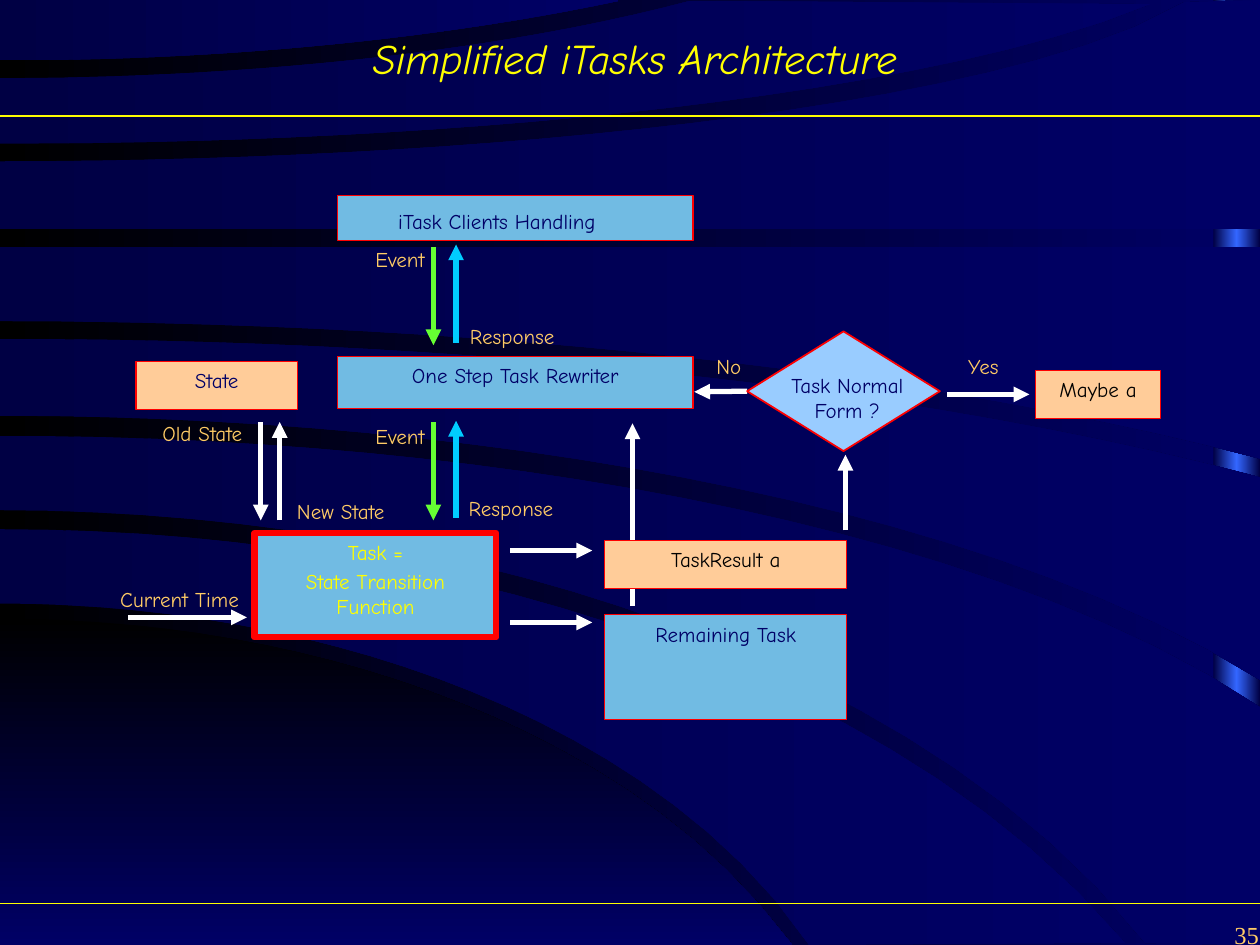
from copy import deepcopy
from math import sqrt
from lxml.etree import SubElement
from pptx import Presentation
from pptx.dml.color import RGBColor
from pptx.enum.shapes import MSO_CONNECTOR, MSO_SHAPE
from pptx.enum.text import MSO_ANCHOR, MSO_AUTO_SIZE, PP_ALIGN
from pptx.oxml.ns import qn
from pptx.util import Inches, Pt

FONT = "Comic Neue"
HEX = {"black": "000000", "navy": "000066", "dark": "000044", "glow": "3366FF",
       "yellow": "FFFF00", "gold": "FFCC66", "white": "FFFFFF", "red": "FF0000",
       "sky": "71BBE3", "peach": "FFCC99", "pale": "99CCFF", "green": "66FF33",
       "cyan": "00CCFF"}
WIDE, HIGH = 10, 7.5

# Backdrop edges are elliptic arcs: start y, x radius, y radius, end x
HILL = (4.91, 6.9, 4.42, 6.29), (HIGH, WIDE, 0, 6.29)
# Bands from low to high: upper edge, lower edge, corners between their ends
BANDS = [((4.2, 10, 5.97, 8.93), (4.79, 7, 4.5, 6.42), []),
         ((3.46, 11.3, 4.03, WIDE), (4.05, 10, 5.89, 9.09), [(WIDE, HIGH)]),
         ((2.69, 14, 3.66, WIDE), (3.3, 11.5, 4.14, WIDE), []),
         ((1.96, WIDE, 0, WIDE), (2.55, 14, 3.63, WIDE), []),
         ((1.28, 9.8, -1.76, 9.4), (1.82, WIDE, 0, WIDE), [(WIDE, 0)]),
         ((0.62, 8, -2.26, 5.48), (1.14, 10, -1.87, 9.13), []),
         ((0, WIDE, 0, 4.91), (0.48, 9, -2.92, 4.91), [])]

# Upright arrows: x, from y, to y, colour
UPRIGHT = [(5.02, 4.81, 3.36, "white"), (3.44, 1.96, 2.74, "green"),
           (3.62, 2.72, 1.94, "cyan"), (3.44, 3.35, 4.13, "green"),
           (3.62, 4.11, 3.34, "cyan"), (2.07, 3.35, 4.13, "white"),
           (2.22, 4.13, 3.35, "white"), (6.71, 4.21, 3.61, "white")]
# Level arrows: y, from x, to x; the last one leaves the diamond
LEVEL = [(4.9, 1.02, 1.96), (4.37, 4.05, 4.7), (4.94, 4.05, 4.7),
         (3.13, 7.52, 8.17), (3.11, 5.93, 5.51)]
# Boxes: lines, (left, top, width, height), fill, text colour
BOXES = [([], (2.68, 1.55, 2.82, 0.36), "sky", "navy"),
         (["One Step Task Rewriter"], (2.68, 2.83, 2.82, 0.41), "sky", "navy"),
         (["State"], (1.08, 2.87, 1.28, 0.38), "peach", "navy"),
         (["Task =", "State Transition Function"], (2.02, 4.23, 1.92, 0.83),
          "sky", "yellow"),
         (["TaskResult a"], (4.8, 4.29, 1.92, 0.38), "peach", "black"),
         (["Remaining Task"], (4.8, 4.88, 1.92, 0.83), "sky", "navy"),
         (["Maybe a"], (8.22, 2.94, 0.99, 0.38), "peach", "black")]
# Labels by width: text, left, top
LABELS = {1.49: [("Event", 2.43, 1.91), ("Response", 3.32, 2.52),
                 ("Event", 2.43, 3.31), ("Response", 3.31, 3.88),
                 ("Old State", 0.86, 3.29), ("New State", 1.96, 3.91),
                 ("Current Time", 0.68, 4.61)],
          0.57: [("No", 5.5, 2.76), ("Yes", 7.52, 2.76)]}


def rgb(name):
    return RGBColor.from_string(HEX[name])


def blend(fill, names, angle=0):
    fill.gradient()
    fill.gradient_angle = angle
    for stop, name in zip(fill.gradient_stops, names):
        stop.color.rgb = rgb(name)


def write(frame, lines, color, size=12, font=FONT, align=PP_ALIGN.CENTER):
    frame.word_wrap = True
    for i, line in enumerate(lines):
        para = frame.paragraphs[0] if i == 0 else frame.add_paragraph()
        para.text = line
        para.alignment = align
        if i:
            para.space_before = Pt(2.4)
        para.font.size, para.font.name = Pt(size), font
        para.font.color.rgb = rgb(color)


def arc(start, across, down, end, steps=24):
    xs = [end * i / steps for i in range(steps + 1)]
    return [(x, start + down * (1 - sqrt(1 - (x / across) ** 2))) for x in xs]


def band(upper, lower, corners, names, angle=0):
    points = arc(*upper) + corners + arc(*lower)[::-1]
    first, *rest = [(Inches(x), Inches(min(max(y, 0), HIGH))) for x, y in points]
    pen = shapes.build_freeform(*first)
    pen.add_line_segments(rest, close=True)
    shape = pen.convert_to_shape()
    shape.shadow.inherit = False
    shape.line.fill.background()
    blend(shape.fill, names, angle)


def box(kind, spot, fill, border):
    shape = shapes.add_shape(kind, *map(Inches, spot))
    shape.shadow.inherit = False
    shape.fill.solid()
    shape.fill.fore_color.rgb = rgb(fill)
    shape.line.color.rgb = rgb("red")
    shape.line.width = Pt(border)
    shape.text_frame.vertical_anchor = MSO_ANCHOR.TOP
    return shape


def line(x1, y1, x2, y2, color="white", width=3, head=True):
    link = shapes.add_connector(MSO_CONNECTOR.STRAIGHT, *map(Inches, (x1, y1, x2, y2)))
    link.line.color.rgb = rgb(color)
    link.line.width = Pt(width)
    if head:
        SubElement(link.line._get_or_add_ln(), qn("a:tailEnd"), type="triangle")
    SubElement(link._element.spPr, qn("a:effectLst"))
    return link


def label(text, left, top, width, height=0.3, color="gold", **style):
    spot = map(Inches, (left, top, width, height))
    write(shapes.add_textbox(*spot).text_frame, [text], color, **style)


deck = Presentation()
deck.slide_width, deck.slide_height = Inches(WIDE), Inches(HIGH)
slide = deck.slides.add_slide(deck.slide_layouts[5])
shapes = slide.shapes

# Backdrop
blend(slide.background.fill, ("black", "navy"))
band(*HILL, [], ("black", "navy"), 270)
strip = box(MSO_SHAPE.RECTANGLE, (9.63, 0, 0.37, HIGH), "dark", 1)
strip.line.fill.background()
blend(strip.fill, ("dark", "dark"))
edge = strip._element.spPr.find(".//" + qn("a:gs"))
mid = deepcopy(edge)
mid.set("pos", "50000")
mid[0].set("val", HEX["glow"])
edge.addnext(mid)
for parts in BANDS:
    band(*parts, ("dark", "navy"))
for y in (0.92, 7.17):
    line(0, y, WIDE, y, "yellow", 0.75, False)

# Title, raised above the backdrop
title = shapes.title
shapes._spTree.append(title._element)
title.left, title.top, title.width, title.height = map(Inches, (0.08, 0, 9.92, 0.92))
write(title.text_frame, ["Simplified iTasks Architecture"], "yellow", 24)
title.text_frame.paragraphs[0].font.italic = True
title.text_frame.vertical_anchor = MSO_ANCHOR.MIDDLE
title.text_frame.auto_size = MSO_AUTO_SIZE.NONE

# Diagram
for x, y1, y2, color in UPRIGHT:
    line(x, y1, x, y2, color)
links = [line(x1, y, x2, y) for y, x1, x2 in LEVEL]
for lines, spot, fill, color in BOXES:
    border = 3.5 if color == "yellow" else 0.75
    write(box(MSO_SHAPE.RECTANGLE, spot, fill, border).text_frame, lines, color)
test = box(MSO_SHAPE.FLOWCHART_DECISION, (5.93, 2.63, 1.53, 0.95), "pale", 1)
links[-1].begin_connect(test, 1)
for width, group in LABELS.items():
    for text, left, top in group:
        label(text, left, top, width)
label("Task Normal Form ?", 5.98, 2.91, 1.49, 0.5, "navy")
label("iTask Clients Handling", 2.98, 1.61, 1.93, color="navy")

# Slide number
label("35", 9.3, 7.25, 0.79, 0.33, size=14, font="Times New Roman",
      align=PP_ALIGN.RIGHT)

deck.save("out.pptx")
